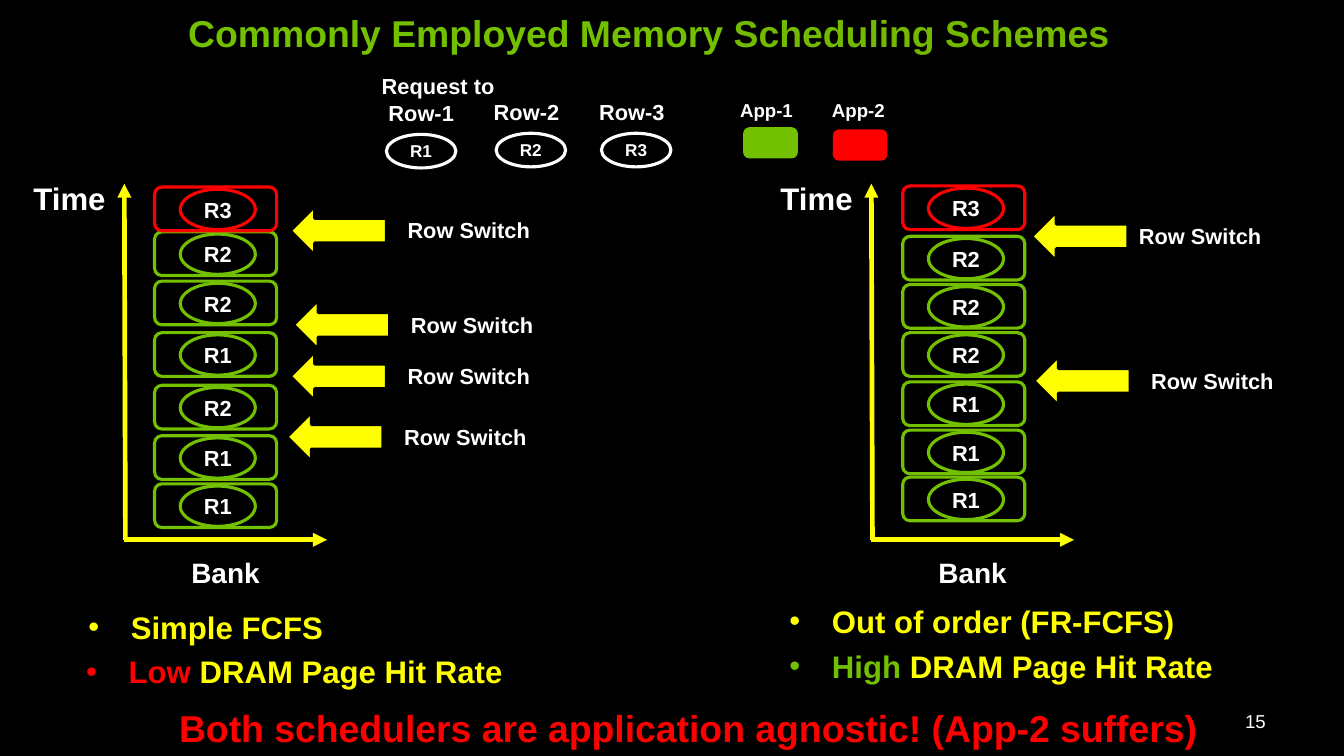
from lxml.etree import SubElement
from pptx import Presentation
from pptx.dml.color import RGBColor
from pptx.enum.shapes import MSO_CONNECTOR, MSO_SHAPE as Shape
from pptx.enum.text import MSO_ANCHOR as Anchor, MSO_AUTO_SIZE as AutoSize, PP_ALIGN as Align
from pptx.oxml.ns import qn
from pptx.util import Inches, Pt

# Content
COLORS = {"black": "000000", "white": "FFFFFF", "green": "73C000",
          "title green": "73B900", "red": "FF0000", "yellow": "FFFF00"}
TITLE = [("Commonly Employed Memory ", "green"), ("Scheduling Schemes", "title green")]
CONCLUSION = "Both schedulers are application agnostic! (App-2 suffers)"
ROWS = [  # request, label left, label top, oval left, oval top
    ("R1", "Row-1", 3.37, 0.84, 3.45, 1.2),
    ("R2", "Row-2", 4.31, 0.83, 4.43, 1.19),
    ("R3", "Row-3", 5.25, 0.83, 5.37, 1.19),
]
APPS = [  # label, color, label left, key left, key top
    ("App-1", "green", 6.51, 6.65, 1.15),
    ("App-2", "red", 7.33, 7.45, 1.17),
]
SCHEDULERS = [
    {"axis": 1.11, "stack": 1.38,
     "requests": [("R1", 4.32), ("R1", 3.89), ("R2", 3.44), ("R1", 2.97),
                  ("R2", 2.51), ("R2", 2.07), ("R3", 1.67)],
     # arrow left, arrow top, label left
     "switches": [(2.59, 1.84, 3.54), (2.62, 2.68, 3.57),
                  (2.59, 3.14, 3.54), (2.56, 3.68, 3.51)],
     "bullets": [(0.69, 5.38, [("Simple FCFS", "yellow")]),
                 (0.67, 5.78, [("Low", "red"), (" DRAM Page Hit Rate", "yellow")])]},
    {"axis": 7.78, "stack": 8.06,
     "requests": [("R1", 4.26), ("R1", 3.84), ("R1", 3.41), ("R2", 2.97),
                  ("R2", 2.54), ("R2", 2.11), ("R3", 1.66)],
     "switches": [(9.21, 1.89, 10.07), (9.23, 3.18, 10.18)],
     "bullets": [(6.95, 5.33, [("Out of order (FR-FCFS)", "yellow")]),
                 (6.95, 5.73, [("High ", "green"), ("DRAM Page Hit Rate", "yellow")])]},
]

deck = Presentation()
deck.slide_width, deck.slide_height = Inches(12), Inches(6.75)
page = deck.slides.add_slide(deck.slide_layouts[5])


def rgb(name):
    return RGBColor.from_string(COLORS[name])


page.background.fill.solid()
page.background.fill.fore_color.rgb = rgb("black")


def write(frame, runs, size, bold=True, align=Align.LEFT, bullet=False):
    para = frame.paragraphs[0]
    para.alignment = align
    if bullet:
        props = para._p.get_or_add_pPr()
        props.set("marL", str(Inches(0.38)))
        props.set("indent", str(Inches(-0.38)))
        SubElement(props, qn("a:buFont"), typeface="Arial")
        SubElement(props, qn("a:buChar"), char="•")
    for words, color in runs:
        span = para.add_run()
        span.text = words
        for name, value in {"name": "Arial", "size": Pt(size), "bold": bold}.items():
            setattr(span.font, name, value)
        span.font.color.rgb = rgb(color)


def add_text(at, runs, size, **options):
    box = page.shapes.add_textbox(*map(Inches, at))
    box.text_frame.word_wrap = True
    write(box.text_frame, runs, size, **options)
    return box


def add_shape(kind, at, line, fill=None, label=None, size=14):
    shape = page.shapes.add_shape(kind, *map(Inches, at))
    shape.shadow.inherit = False
    if fill:
        shape.fill.solid()
        shape.fill.fore_color.rgb = rgb(fill)
    else:
        shape.fill.background()
    shape.line.color.rgb = rgb(line)
    shape.line.width = Pt(2)
    if label:
        frame = shape.text_frame
        layout = {"margin_left": 0, "margin_right": 0, "margin_top": 0, "margin_bottom": 0,
                  "word_wrap": False, "vertical_anchor": Anchor.MIDDLE}
        for name, value in layout.items():
            setattr(frame, name, value)
        write(frame, [(label, "white")], size, align=Align.CENTER)
    return shape


def add_axis(start, end):
    axis = page.shapes.add_connector(MSO_CONNECTOR.STRAIGHT, *map(Inches, start + end))
    axis.line.color.rgb = rgb("yellow")
    axis.line.width = Pt(3)
    SubElement(axis.line._get_or_add_ln(), qn("a:tailEnd"), type="triangle")
    SubElement(axis._element.spPr, qn("a:effectLst"))


# Title
title = page.shapes.title
for name, value in zip(("left", "top", "width", "height"), (1.58, 0.04, 9.16, 0.5)):
    setattr(title, name, Inches(value))
title.text_frame.vertical_anchor = Anchor.TOP
title.text_frame.auto_size = AutoSize.NONE
write(title.text_frame, TITLE, 24)

# Legend: requested rows and applications
add_text((3.31, 0.6, 1.71, 0.34), [("Request to", "white")], 14)
for request, label, label_left, label_top, left, top in ROWS:
    add_text((label_left, label_top, 1.09, 0.34), [(label, "white")], 14)
    add_shape(Shape.OVAL, (left, top, 0.62, 0.3), "white", label=request, size=11)
for label, color, label_left, left, top in APPS:
    add_text((label_left, 0.83, 1.4, 0.3), [(label, "white")], 12)
    add_shape(Shape.ROUNDED_RECTANGLE, (left, top, 0.46, 0.25), color, fill=color)

# One diagram per scheduler
for scheduler in SCHEDULERS:
    axis, stack = scheduler["axis"], scheduler["stack"]
    add_axis((axis + 0.01, 4.82), (axis, 1.64))
    add_axis((axis, 4.82), (axis + 1.81, 4.82))
    add_text((axis - 0.91, 1.55, 0.92, 0.44), [("Time", "white")], 20)
    add_text((axis + 0.5, 4.91, 1.2, 0.4), [("Bank", "white")], 18)

    for request, top in scheduler["requests"]:
        color = "red" if request == "R3" else "green"
        add_shape(Shape.ROUNDED_RECTANGLE, (stack, top, 1.09, 0.39), color)
        add_shape(Shape.OVAL, (stack + 0.23, top + 0.02, 0.67, 0.36), color, label=request)

    for left, top, label_left in scheduler["switches"]:
        arrow = add_shape(Shape.RIGHT_ARROW, (left, top, 0.86, 0.44), "black", fill="yellow")
        arrow.rotation = 180
        add_text((label_left, top + 0.05, 1.71, 0.34), [("Row Switch", "white")], 14)

    for left, top, runs in scheduler["bullets"]:
        add_text((left, top, 4.8, 0.5), runs, 20, bullet=True)

# Conclusion and page number
add_text((1.5, 6.25, 9.99, 0.5), [(CONCLUSION, "red")], 24)
number = add_text((8.6, 6.26, 2.8, 0.36), [("15", "white")], 12, bold=False, align=Align.RIGHT)
number.text_frame.vertical_anchor = Anchor.MIDDLE

deck.save("out.pptx")
